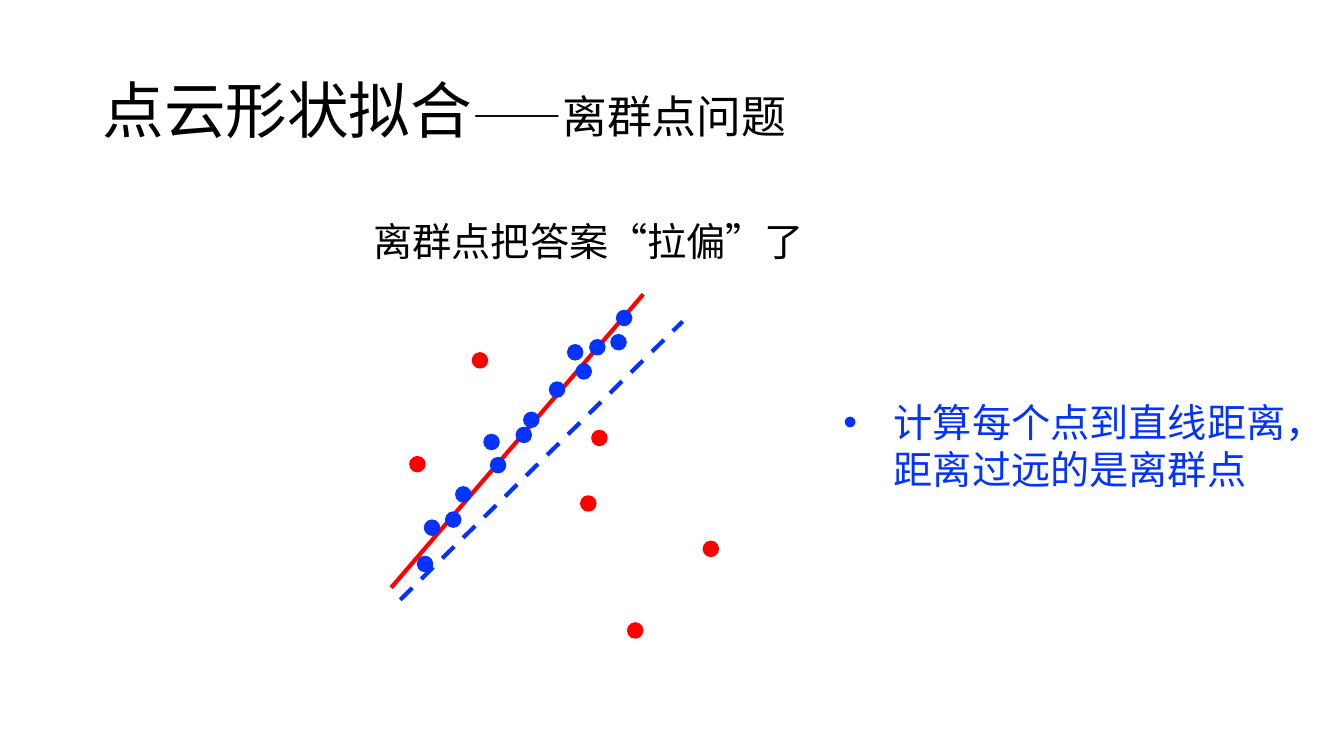
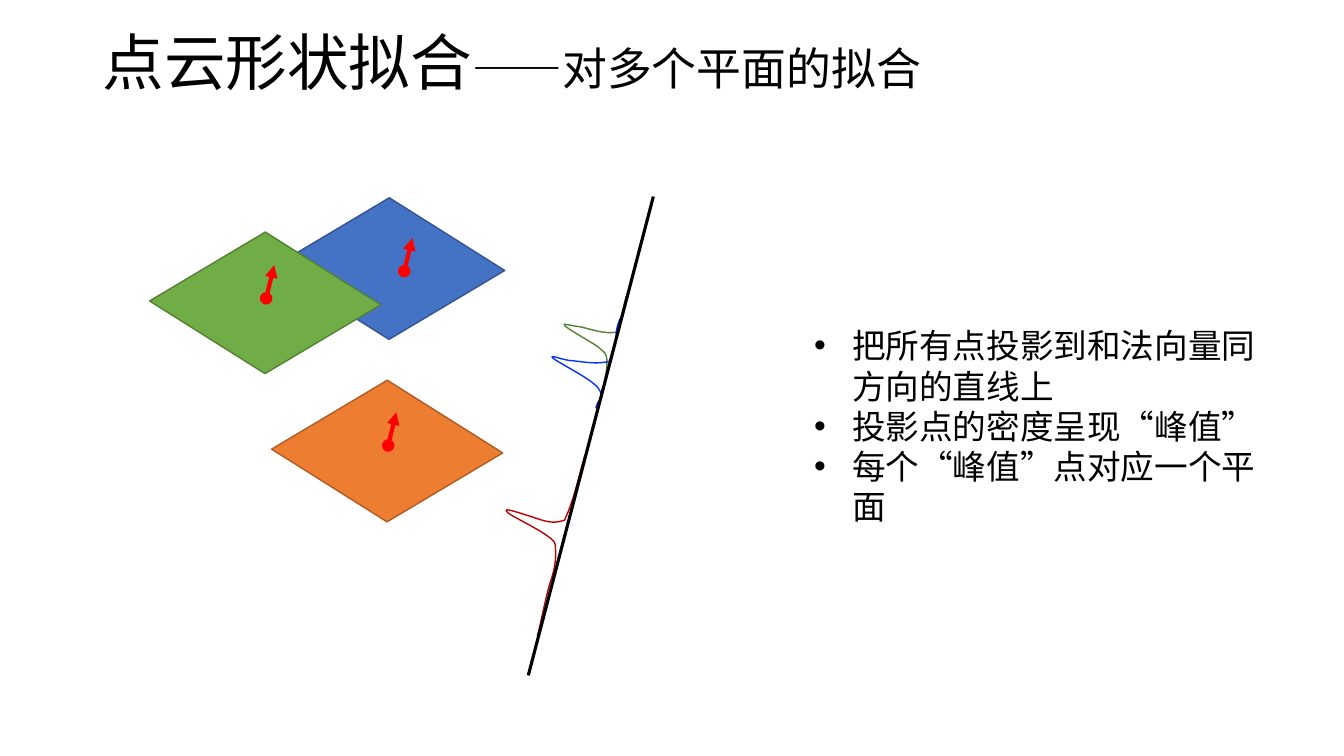
import pptx
import pptx.util
import pptx.dml.color
import pptx.enum.dml
import pptx.enum.shapes
import pptx.enum.text
import pptx.oxml
import pptx.oxml.ns

CELL = pptx.util.Inches(0.1)  # the slide is a grid of 133.3 columns by 75 rows
FONT = "Noto Sans CJK SC"
COLORS = {
    "text": "000000", "red": "FF0000", "blue": "0432FF",
    "plane_blue": "4472C4", "plane_blue_edge": "325491",
    "plane_green": "70AD47", "plane_green_edge": "538035",
    "plane_orange": "ED7D31", "plane_orange_edge": "AF5C24",
    "peak_red": "C00000", "peak_green": "548235",
}

# Centres of the points
INLIERS = [
    (4.15, 26.95), (6.95, 22.55), (7.95, 20.05), (4.85, 23.35), (10.75, 14.85),
    (13.95, 14.15), (23.9, 2.55), (19.05, 5.95), (17.25, 9.65), (19.9, 7.85),
    (11.4, 17.15), (14.7, 12.65), (23.35, 4.95), (21.25, 5.45),
]
OUTLIERS = [
    (21.45, 14.45), (32.5, 25.45), (20.35, 20.95),
    (3.4, 17.05), (25, 33.55), (9.6, 6.75),
]

# Plane colour, corner of the plane, foot of its normal
PLANES = [
    ("plane_blue", (14.8, 1.7), (26.1, 7.9)),
    ("plane_green", (2.5, 5.1), (12.4, 10.6)),
    ("plane_orange", (14.6, 19.8), (24.5, 25.2)),
]

# Each peak is a start point, then three points for each Bézier segment
PEAKS = {
    "peak_red": [
        (3.3, 44.1),
        (3.5, 43.5), (4.2, 39.9), (4.6, 38.7),
        (5, 37.6), (5.2, 36.3), (5.1, 35.5),
        (5.1, 34.7), (5, 34.7), (4.2, 34.1),
        (3.4, 33.5), (0.8, 32.2), (0.4, 31.9),
        (0, 31.5), (0, 31.4), (1.9, 32),
        (3.9, 32.6), (4.6, 33.1), (6, 32.6),
        (6.9, 30.6), (7.2, 29.1), (8, 26.2),
    ],
    "peak_green": [
        (9.7, 19.8),
        (10.1, 18.7), (10.2, 17.5), (10.2, 16.7),
        (10.1, 16), (10, 16), (9.3, 15.4),
        (8.6, 14.9), (6.4, 13.7), (6, 13.3),
        (5.7, 13), (6.5, 13.3), (7.4, 13.4),
        (8.2, 13.5), (10.1, 14.3), (11.3, 13.9),
        (12.1, 10.4), (11.5, 13.1), (12.1, 10.4),
    ],
    "blue": [
        (9.1, 21.5),
        (9.4, 20.3), (9.7, 20.8), (9.7, 20.4),
        (9.6, 20), (9.6, 19.6), (8.8, 19),
        (8, 18.3), (5.1, 16.8), (4.8, 16.5),
        (4.5, 16.1), (5.9, 16.8), (6.9, 16.8),
        (7.8, 16.9), (9.4, 17.2), (10.6, 16.8),
        (11.5, 13.1), (10.8, 14.5), (11.5, 12.6),
    ],
}


def cells(*counts):
    return [round(count * CELL) for count in counts]


def shift(origin, point):
    return origin[0] + point[0], origin[1] + point[1]


def rgb(name):
    return pptx.dml.color.RGBColor.from_string(COLORS[name])


def drawing_element(tag, attributes=""):
    return pptx.oxml.parse_xml(
        f'<a:{tag} {pptx.oxml.ns.nsdecls("a")} {attributes}/>')


def add_run(paragraph, text, size, color="text"):
    run = paragraph.add_run()
    run.text = text
    run.font.size = pptx.util.Pt(size)
    run.font.color.rgb = rgb(color)
    run.font.name = FONT
    run.font._element.append(drawing_element("ea", f'typeface="{FONT}"'))


def place(shape, box):
    shape.left, shape.top, shape.width, shape.height = cells(*box)


def add_title(slide, box, topic):
    title = slide.shapes.title
    place(title, box)
    title.text_frame.vertical_anchor = pptx.enum.text.MSO_ANCHOR.MIDDLE
    paragraph = title.text_frame.paragraphs[0]
    paragraph.alignment = pptx.enum.text.PP_ALIGN.LEFT
    paragraph.line_spacing = 0.9
    add_run(paragraph, "点云形状拟合", 44)
    add_run(paragraph, "——" + topic, 32)


def add_list(slide, box, items, size, indent, color="text"):
    """Fill the body placeholder with bullets hanging by indent cells."""
    body = slide.placeholders[1]
    place(body, box)
    frame = body.text_frame
    frame.auto_size = pptx.enum.text.MSO_AUTO_SIZE.NONE
    for index, item in enumerate(items):
        paragraph = frame.add_paragraph() if index else frame.paragraphs[0]
        paragraph.space_before = pptx.util.Pt(0)
        properties = paragraph._p.get_or_add_pPr()
        hang, = cells(indent)
        properties.set("marL", str(hang))
        properties.set("indent", str(-hang))
        properties.append(drawing_element("buFont", 'typeface="Arial"'))
        properties.append(drawing_element("buChar", 'char="•"'))
        add_run(paragraph, item, size, color)


def add_caption(slide, box, text):
    frame = slide.shapes.add_textbox(*cells(*box)).text_frame
    frame.word_wrap = True
    paragraph = frame.paragraphs[0]
    paragraph.alignment = pptx.enum.text.PP_ALIGN.CENTER
    add_run(paragraph, text, 28)


def add_line(parent, start, end, color, weight):
    line = parent.shapes.add_connector(
        pptx.enum.shapes.MSO_CONNECTOR.STRAIGHT, *cells(*start, *end))
    line.line.color.rgb = rgb(color)
    line.line.width = pptx.util.Pt(weight)
    line._element.spPr.append(drawing_element("effectLst"))
    return line


def add_filled(parent, kind, box, fill, edge):
    shape = parent.shapes.add_shape(kind, *cells(*box))
    shape.shadow.inherit = False
    shape.fill.solid()
    shape.fill.fore_color.rgb = rgb(fill)
    shape.line.color.rgb = rgb(edge)
    shape.line.width = pptx.util.Pt(1)
    return shape


def add_scatter(slide, origin):
    """Draw the points, the true line and the line pulled off by outliers."""
    add_line(slide, shift(origin, (0.8, 29.3)), shift(origin, (25.8, 0.2)), "red", 3)
    cloud = slide.shapes.add_group_shape()
    size = 1.5
    for color, points in (("blue", INLIERS), ("red", OUTLIERS)):
        for point in points:
            corner = shift(origin, (point[0] - size / 2, point[1] - size / 2))
            add_filled(cloud, pptx.enum.shapes.MSO_SHAPE.OVAL,
                       (*corner, size, size), color, color)
    pulled = add_line(slide, shift(origin, (1.7, 30.5)),
                      shift(origin, (29.7, 2.9)), "blue", 3)
    pulled.line.dash_style = pptx.enum.dml.MSO_LINE.DASH


def add_planes(slide, origin):
    """Draw the parallel planes, each with its normal vector."""
    for color, corner, foot in PLANES:
        plane = add_filled(slide, pptx.enum.shapes.MSO_SHAPE.PARALLELOGRAM,
                           (*shift(origin, corner), 19.6, 11.9), color, color + "_edge")
        plane.adjustments[0] = 0.51
        plane.rotation = 32.2
        start = shift(origin, foot)
        normal = add_line(slide, start, shift(start, (0.8, -3.3)), "red", 3)
        outline = normal.line._get_or_add_ln()
        outline.append(drawing_element("headEnd", 'type="oval"'))
        outline.append(drawing_element("tailEnd", 'type="triangle"'))


def add_curve(parent, points, color):
    """Draw an open chain of cubic Bézier segments."""
    start, *controls = [cells(*point) for point in points]
    builder = parent.shapes.build_freeform(*start)
    builder.add_line_segments(controls, close=False)
    curve = builder.convert_to_shape()
    segments = curve._element.findall(".//" + pptx.oxml.ns.qn("a:lnTo"))
    for index in range(0, len(segments), 3):
        bezier = drawing_element("cubicBezTo")
        segments[index].addprevious(bezier)
        for segment in segments[index:index + 3]:
            bezier.append(segment[0])
            segment.getparent().remove(segment)
    curve.shadow.inherit = False
    curve.fill.background()
    curve.line.color.rgb = rgb(color)
    curve.line.width = pptx.util.Pt(1)


def add_projection(slide, origin):
    """Draw the density peaks along the projection line."""
    group = slide.shapes.add_group_shape()
    for color, points in PEAKS.items():
        add_curve(group, [shift(origin, point) for point in points], color)
    add_line(group, shift(origin, (14.8, 0.5)), shift(origin, (2.4, 48)), "text", 2.25)


def build_outlier_slide(slide):
    add_title(slide, (9.17, 4, 126.9, 14.5), "离群点问题")
    add_scatter(slide, (38, 29))
    add_caption(slide, (34.1, 21.1, 48.6, 5.7), "离群点把答案“拉偏”了")
    add_list(slide, (82.65, 39, 48.6, 10.4),
             ["计算每个点到直线距离，距离过远的是离群点"], 28, 5, "blue")


def build_planes_slide(slide):
    add_title(slide, (9.17, 1.6, 115, 9.8), "对多个平面的拟合")
    add_list(slide, (79.75, 31.75, 47.4, 17.2),
             ["把所有点投影到和法向量同方向的直线上",
              "投影点的密度呈现“峰值”",
              "每个“峰值”点对应一个平面"], 24, 3.75)
    add_planes(slide, (14, 19))
    add_projection(slide, (50, 19))


def main():
    presentation = pptx.Presentation()
    presentation.slide_width = pptx.util.Inches(13.33)
    presentation.slide_height = pptx.util.Inches(7.5)
    for build in (build_outlier_slide, build_planes_slide):
        build(presentation.slides.add_slide(presentation.slide_layouts[1]))
    presentation.save("out.pptx")


if __name__ == "__main__":
    main()
